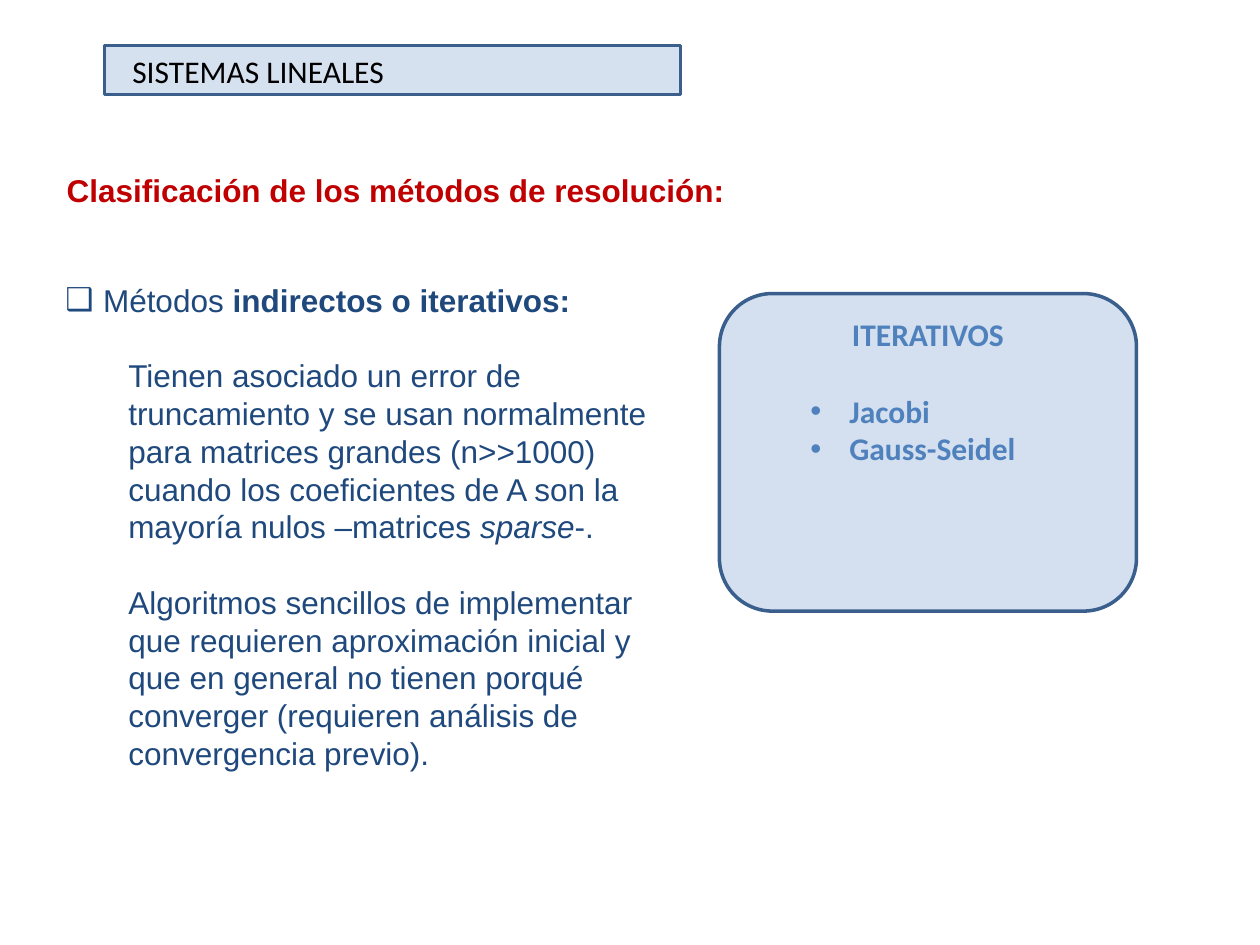
from pptx import Presentation
from pptx import util as u
from pptx.dml.color import RGBColor
from pptx.enum import shapes, text
from pptx.oxml.ns import qn
from lxml import etree

BLUE = RGBColor(0x4F, 0x81, 0xBD)
EDGE = RGBColor(0x3A, 0x5F, 0x8C)
NAVY = RGBColor(0x1F, 0x49, 0x7D)
RED = RGBColor(0xC0, 0x00, 0x00)
BLACK = RGBColor(0x00, 0x00, 0x00)


def style(p, font, color, bold=False):
    for r in p.runs:
        r.font.name = font
        r.font.size = u.Pt(18)
        r.font.bold = bold
        r.font.color.rgb = color


def indent(p, left, first=0, bullet=None):
    pPr = p._p.get_or_add_pPr()
    pPr.set("marL", str(u.Inches(left)))
    pPr.set("indent", str(u.Inches(first)))
    if bullet:
        etree.SubElement(pPr, qn("a:buFont"), typeface="Arial")
        etree.SubElement(pPr, qn("a:buChar"), char=bullet)


prs = Presentation()
prs.slide_width = u.Inches(10)
prs.slide_height = u.Inches(7.5)
s = prs.slides.add_slide(prs.slide_layouts[5])

panels = []
for kind, x, y, w, h, alpha in (
    (shapes.MSO_SHAPE.RECTANGLE, 0.83, 0.36, 4.57, 0.39, 23),
    (shapes.MSO_SHAPE.ROUNDED_RECTANGLE, 5.71, 2.33, 3.31, 2.52, 24),
):
    sp = s.shapes.add_shape(kind, u.Inches(x), u.Inches(y), u.Inches(w), u.Inches(h))
    sp.shadow.inherit = False
    sp.fill.solid()
    sp.fill.fore_color.rgb = BLUE
    clr = sp._element.spPr.find(qn("a:solidFill")).find(qn("a:srgbClr"))
    etree.SubElement(clr, qn("a:alpha"), val=str(alpha * 1000))
    sp.line.color.rgb = EDGE
    sp.line.width = u.Pt(2)
    panels.append(sp)
banner, card = panels

title = s.shapes.title
banner._element.addnext(title._element)
title.left, title.top = u.Inches(0.83), u.Inches(0.36)
title.width, title.height = u.Inches(2.33), u.Inches(0.4)
tf = title.text_frame
tf.text = "SISTEMAS LINEALES"
tf.word_wrap = False
tf.auto_size = text.MSO_AUTO_SIZE.NONE
tf.margin_left = u.Inches(0.22)
tf.vertical_anchor = text.MSO_ANCHOR.MIDDLE
tf.paragraphs[0].alignment = text.PP_ALIGN.LEFT
style(tf.paragraphs[0], "Calibri", BLACK)

tf = card.text_frame
tf.vertical_anchor = text.MSO_ANCHOR.TOP
tf.text = "ITERATIVOS\nJacobi\nGauss-Seidel"
heading, *methods = tf.paragraphs
heading.alignment = text.PP_ALIGN.CENTER
methods[0].space_before = u.Pt(22)
for p in methods:
    p.alignment = text.PP_ALIGN.LEFT
    indent(p, 0.81, -0.31, "•")
for p in tf.paragraphs:
    style(p, "Calibri", BLUE, True)

sp = s.shapes.add_textbox(u.Inches(0.43), u.Inches(1.31), u.Inches(5.48), u.Inches(0.4))
tf = sp.text_frame
tf.word_wrap = True
tf.text = "Clasificación de los métodos de resolución:"
style(tf.paragraphs[0], "Arial", RED, True)

sp = s.shapes.add_textbox(u.Inches(0.42), u.Inches(2.18), u.Inches(5), u.Inches(4.04))
tf = sp.text_frame
tf.word_wrap = True
body = (
    ("Métodos ", "indirectos o iterativos:"),
    ("Tienen asociado un error de truncamiento y se usan normalmente para matrices "
     "grandes (n>>1000) cuando los coeficientes de A son la mayoría nulos –matrices ",
     "sparse", "-."),
    ("Algoritmos sencillos de implementar que requieren aproximación inicial y que en "
     "general no tienen porqué converger (requieren análisis de convergencia previo).",),
)
for i, parts in enumerate(body):
    p = tf.add_paragraph() if i else tf.paragraphs[0]
    for part in parts:
        p.add_run().text = part
    style(p, "Arial", NAVY)
    if i:
        p.space_before = u.Pt(21.5)
        indent(p, 0.5)
    else:
        indent(p, 0.3, -0.3, "❑")
tf.paragraphs[0].runs[1].font.bold = True
tf.paragraphs[1].runs[1].font.italic = True

prs.save("out.pptx")
